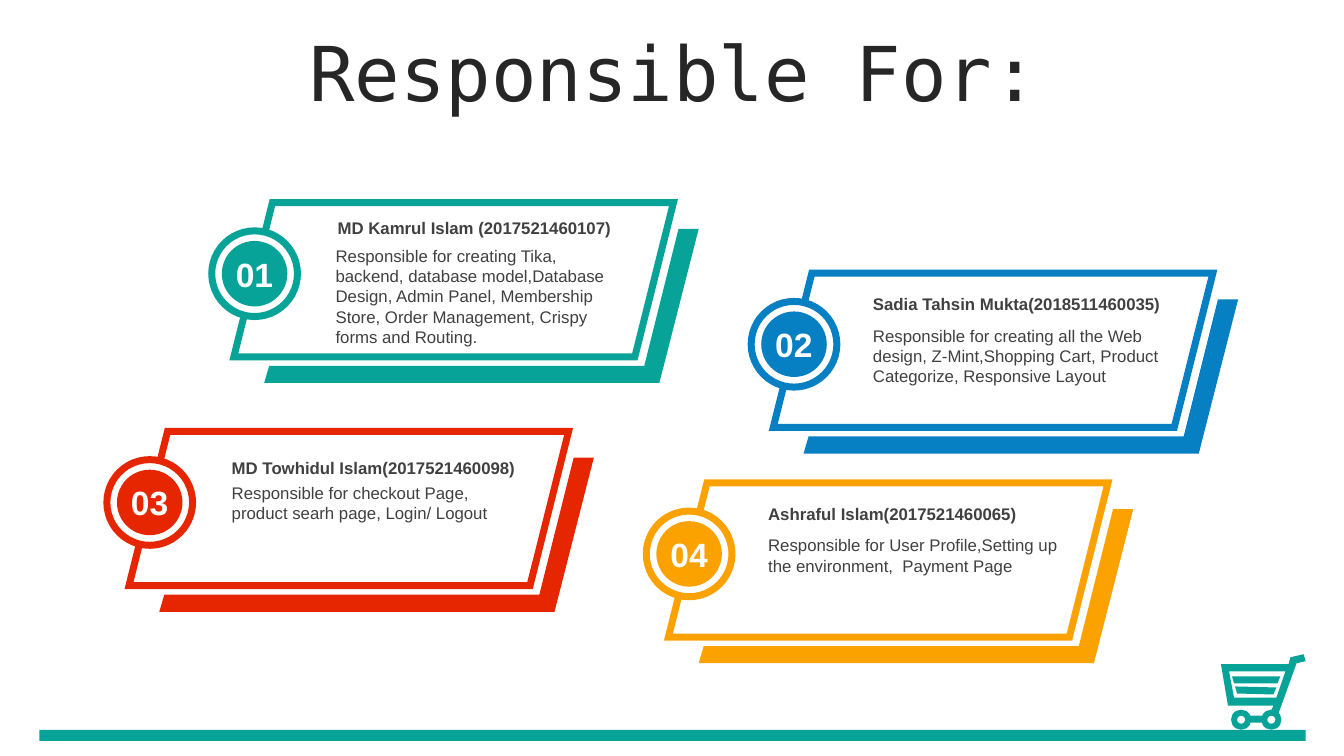
from dataclasses import dataclass

from lxml.etree import SubElement as Sub
from pptx import Presentation
from pptx.dml.color import RGBColor as Rgb
from pptx.enum.shapes import MSO_SHAPE as Kind
from pptx.enum.text import MSO_ANCHOR as Anchor, PP_ALIGN as Align
from pptx.oxml.ns import qn
from pptx.shapes.autoshape import Shape
from pptx.util import Inches, Pt

WIDE, HIGH = Inches(13.33), Inches(7.5)
COLS = 133.3
CELL = WIDE / COLS

TEAL = Rgb(0x07, 0xA3, 0x98)
BLUE = Rgb(0x06, 0x80, 0xC3)
RED = Rgb(0xE6, 0x26, 0x01)
GOLD = Rgb(0xFB, 0xA2, 0x00)
WHITE = Rgb(0xFF, 0xFF, 0xFF)
GREY = Rgb(0x40, 0x40, 0x40)
DARK = Rgb(0x26, 0x26, 0x26)

Spot = tuple[float, float]
Box = tuple[float, float, float, float]


@dataclass
class Card:
    mark: str
    at: Spot
    tint: Rgb
    name: str
    name_at: Spot
    task: str
    task_at: Spot
    rows: int


@dataclass
class Font:
    size: int
    tint: Rgb
    bold: bool = False
    face: str = "Arial"


CARDS = [
    Card("01", (23.2, 20.1), TEAL, "MD Kamrul Islam (2017521460107)", (9.3, 1),
         "Responsible for creating Tika, backend, database model,Database Design, "
         "Admin Panel, Membership Store, Order Management, Crispy forms and Routing.",
         (9.1, 3.8), 5),
    Card("03", (12.8, 42.8), RED, "MD Towhidul Islam(2017521460098)", (9.2, 2.1),
         "Responsible for checkout Page, product searh page, Login/ Logout",
         (9.2, 4.6), 2),
    Card("02", (76.7, 27.1), BLUE, "Sadia Tahsin Mukta(2018511460035)", (8.9, 1.5),
         "Responsible for creating all the Web design, Z-Mint,Shopping Cart, "
         "Product Categorize, Responsive Layout",
         (8.9, 4.7), 4),
    Card("04", (66.3, 47.9), GOLD, "Ashraful Islam(2017521460065)", (8.9, 1.6),
         "Responsible for User Profile,Setting up the environment,  Payment Page",
         (8.9, 4.7), 2),
]

SHADE = [(44.1, 2.6), (46.1, 2.6), (42.2, 17.9), (3, 17.9), (3.5, 16.2), (40.7, 16.2)]

CART = [
    [(8.2, 0), (6.9, 0.3), (6.7, 1), (0, 1), (0.7, 5.1), (5.2, 5.1),
     (4.9, 5.8), (5.7, 5.9), (7.5, 0.9), (8.4, 0.7)],
    [(6.4, 1.7), (5.5, 4.3), (1.3, 4.3), (0.8, 1.7)],
    [(1.1, 2.2), (1.3, 2.9), (5.6, 2.9), (5.9, 2.2)],
    [(1.4, 3.2), (1.6, 3.9), (5.2, 4), (5.5, 3.3)],
    [(2.8, 6.1), (4.1, 6.1), (4.1, 6.8), (2.8, 6.8)],
]


def shift(at: Spot, by: Spot) -> Spot:
    return at[0] + by[0], at[1] + by[1]


def grid(box: Box) -> list[int]:
    return [round(part * CELL) for part in box]


def paint(shape: Shape, fill: Rgb, edge: Rgb | None = None) -> None:
    shape.shadow.inherit = False
    shape.fill.solid()
    shape.fill.fore_color.rgb = fill
    if edge is None:
        shape.line.fill.background()
        return
    shape.line.color.rgb = edge
    shape.line.width = Pt(5)
    Sub(shape.line._get_or_add_ln(), qn("a:miter"), lim="800000")


def draw(slide, kind: Kind, box: Box, fill: Rgb, edge: Rgb | None = None) -> Shape:
    shape = slide.shapes.add_shape(kind, *grid(box))
    paint(shape, fill, edge)
    return shape


def trace(slide, at: Spot, loops: list[list[Spot]], fill: Rgb) -> None:
    paths = [[grid(shift(at, spot)) for spot in loop] for loop in loops]
    pen = slide.shapes.build_freeform(*paths[0][0])
    for path in paths:
        pen.move_to(*path[0])
        pen.add_line_segments(path[1:], close=True)
    paint(pen.convert_to_shape(), fill)


def write(slide, text: str, box: Box, font: Font, anchor: Anchor = Anchor.TOP,
          align: Align = Align.LEFT) -> Shape:
    shape = slide.shapes.add_textbox(*grid(box))
    frame = shape.text_frame
    frame.word_wrap = True
    frame.vertical_anchor = anchor
    frame.text = text
    line = frame.paragraphs[0]
    line.alignment = align
    style = line.runs[0].font
    style.name, style.size, style.bold = font.face, Pt(font.size), font.bold
    style.color.rgb = font.tint
    return shape


def add_card(slide, card: Card) -> None:
    draw(slide, Kind.PARALLELOGRAM, (*card.at, 43.6, 15.3), WHITE, card.tint)
    trace(slide, card.at, [SHADE], card.tint)
    write(slide, card.task, (*shift(card.at, card.task_at), 30.8, 2 * card.rows + 1),
          Font(12, GREY))
    write(slide, card.name, (*shift(card.at, card.name_at), 30.8, 3),
          Font(12, GREY, True), Anchor.MIDDLE)
    disc = shift(card.at, (-2.2, 2.8))
    draw(slide, Kind.OVAL, (*disc, 8.5, 8.5), WHITE, card.tint)
    draw(slide, Kind.OVAL, (*shift(disc, (1, 1)), 6.5, 6.5), card.tint)
    write(slide, card.mark, (*shift(disc, (1.1, 1.75)), 6.3, 5),
          Font(24, WHITE, True), align=Align.CENTER)


def add_cart(slide, at: Spot) -> None:
    trace(slide, at, CART, TEAL)
    for left in (1, 4):
        wheel = draw(slide, Kind.DONUT, (*shift(at, (left, 5.5)), 2, 2), TEAL)
        wheel.adjustments[0] = 0.3


def main() -> None:
    deck = Presentation()
    deck.slide_width, deck.slide_height = WIDE, HIGH
    slide = deck.slides.add_slide(deck.slide_layouts[6])
    add_cart(slide, (121.1, 64.9))
    draw(slide, Kind.RECTANGLE, (3.9, 72.4, 125.6, 1.1), TEAL)
    title = write(slide, "Responsible For:", (3.5, 3.7, 126.6, 7.9),
                  Font(54, DARK, face="DejaVu Sans Mono"), Anchor.MIDDLE, Align.CENTER)
    head = title.text_frame.paragraphs[0]
    head.line_spacing, head.space_before = 0.9, Pt(10)
    for card in CARDS:
        add_card(slide, card)
    deck.save("out.pptx")


if __name__ == "__main__":
    main()
